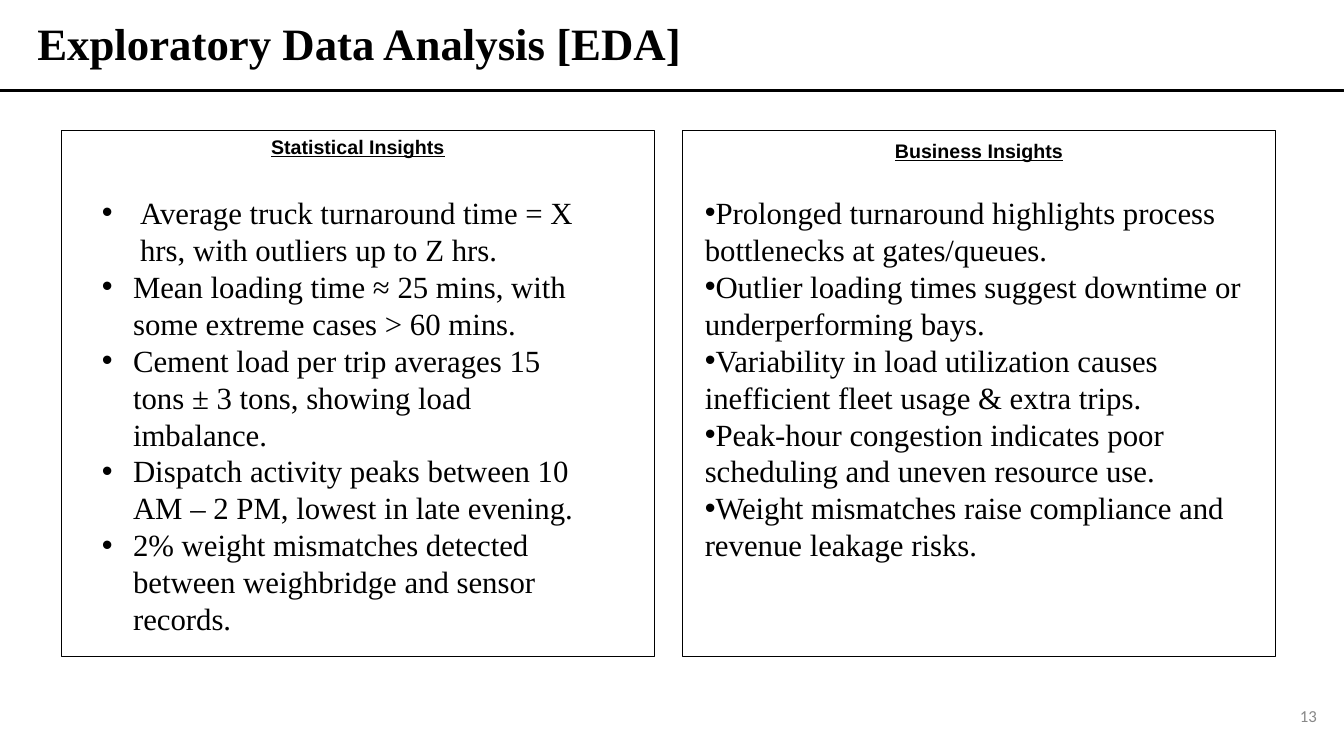
from dataclasses import dataclass

from lxml.etree import SubElement
from pptx import Presentation
from pptx.dml.color import RGBColor
from pptx.enum.shapes import MSO_SHAPE
from pptx.enum.text import MSO_ANCHOR, MSO_AUTO_SIZE, PP_ALIGN
from pptx.oxml.ns import qn
from pptx.util import Inches, Pt


@dataclass(frozen=True)
class Theme:
    ink: RGBColor = RGBColor(0x00, 0x00, 0x00)
    muted: RGBColor = RGBColor(0x88, 0x88, 0x88)
    serif: str = "Times New Roman"
    sans: str = "Arial"
    number_font: str = "Calibri"
    title: float = 32
    body: float = 22
    body_leading: float = 26.4
    heading: float = 14
    number: float = 12
    line: float = 0.75


THEME = Theme()
PANEL_TOP, PANEL_WIDTH, PANEL_HEIGHT = 1.29, 5.88, 5.22

STATISTICAL = [
    "Average truck turnaround time = X hrs, with outliers up to Z hrs.",
    "Mean loading time ≈ 25 mins, with some extreme cases > 60 mins.",
    "Cement load per trip averages 15 tons ± 3 tons, showing load imbalance.",
    "Dispatch activity peaks between 10 AM – 2 PM, lowest in late evening.",
    "2% weight mismatches detected between weighbridge and sensor records.",
]
BUSINESS = [
    "Prolonged turnaround highlights process bottlenecks at gates/queues.",
    "Outlier loading times suggest downtime or underperforming bays.",
    "Variability in load utilization causes inefficient fleet usage & extra trips.",
    "Peak-hour congestion indicates poor scheduling and uneven resource use.",
    "Weight mismatches raise compliance and revenue leakage risks.",
]


def place(sp, left, top, width, height):
    sp.left, sp.top = Inches(left), Inches(top)
    sp.width, sp.height = Inches(width), Inches(height)


def set_bullet(p, indent):
    pPr = p._p.get_or_add_pPr()
    pPr.set("marL", str(Inches(indent)))
    pPr.set("indent", str(-Inches(indent)))
    SubElement(pPr, qn("a:buFont")).set("typeface", THEME.sans)
    SubElement(pPr, qn("a:buChar")).set("char", "•")


def write(sp, text, *, size, font, color=THEME.ink, bold=False, underline=False,
          align=PP_ALIGN.LEFT, anchor=MSO_ANCHOR.TOP, inset=0.05,
          spacing=1.0, indents=None):
    tf = sp.text_frame
    tf.word_wrap = True
    tf.auto_size = MSO_AUTO_SIZE.NONE
    tf.vertical_anchor = anchor
    tf.margin_left = tf.margin_right = Inches(0.1)
    tf.margin_top = tf.margin_bottom = Inches(inset)
    lines = [text] if isinstance(text, str) else text
    for i, line in enumerate(lines):
        p = tf.paragraphs[0] if i == 0 else tf.add_paragraph()
        p.alignment = align
        p.line_spacing = spacing
        p.space_before = p.space_after = Pt(0)
        if indents:
            set_bullet(p, indents[i])
        r = p.add_run()
        r.text = line
        r.font.size, r.font.name = Pt(size), font
        r.font.bold, r.font.underline = bold, underline
        r.font.color.rgb = color


def add_rect(s, left, top, width, height, fill=None):
    sp = s.shapes.add_shape(MSO_SHAPE.RECTANGLE, Inches(left), Inches(top),
                            Inches(width), Inches(height))
    sp.shadow.inherit = False
    if fill is None:
        sp.fill.background()
    else:
        sp.fill.solid()
        sp.fill.fore_color.rgb = fill
    sp.line.color.rgb = THEME.ink
    sp.line.width = Pt(THEME.line)


def add_heading(sp, text, left, top):
    place(sp, left, top, PANEL_WIDTH, 0.34)
    write(sp, text, size=THEME.heading, font=THEME.sans, bold=True,
          underline=True, align=PP_ALIGN.CENTER)


def add_list(sp, items, box, indents, inset):
    place(sp, *box)
    write(sp, items, size=THEME.body, font=THEME.serif, inset=inset,
          spacing=Pt(THEME.body_leading), indents=indents)


def add_page_number(s, number):
    sp = s.shapes.add_textbox(0, 0, 0, 0)
    place(sp, 12.73, 6.94, 0.43, 0.32)
    write(sp, number, size=THEME.number, font=THEME.number_font,
          color=THEME.muted, align=PP_ALIGN.RIGHT, anchor=MSO_ANCHOR.MIDDLE)


def main():
    prs = Presentation()
    prs.slide_width, prs.slide_height = Inches(13.33), Inches(7.5)
    s = prs.slides.add_slide(prs.slide_layouts.get_by_name("Comparison"))
    title, left_heading, left_list, right_heading, right_list = s.placeholders

    place(title, 0.27, 0.16, 10.11, 0.59)
    write(title, "Exploratory Data Analysis [EDA]", size=THEME.title,
          font=THEME.serif, bold=True, anchor=MSO_ANCHOR.MIDDLE, spacing=0.9)
    add_rect(s, 0, 0.89, 13.33, 0.02, fill=THEME.ink)

    for left in (0.61, 6.77):
        add_rect(s, left, PANEL_TOP, PANEL_WIDTH, PANEL_HEIGHT)
    add_heading(left_heading, "Statistical Insights", 0.61, PANEL_TOP)
    add_heading(right_heading, "Business Insights", 6.77, 1.33)
    add_list(left_list, STATISTICAL, (0.91, 1.82, 5.13, 5.02),
             [0.38] + [0.31] * 4, inset=0.1)
    add_list(right_list, BUSINESS, (6.89, 1.87, 5.53, 3.8), [0] * 5, inset=0.05)

    add_page_number(s, "13")
    prs.save("out.pptx")


if __name__ == "__main__":
    main()
